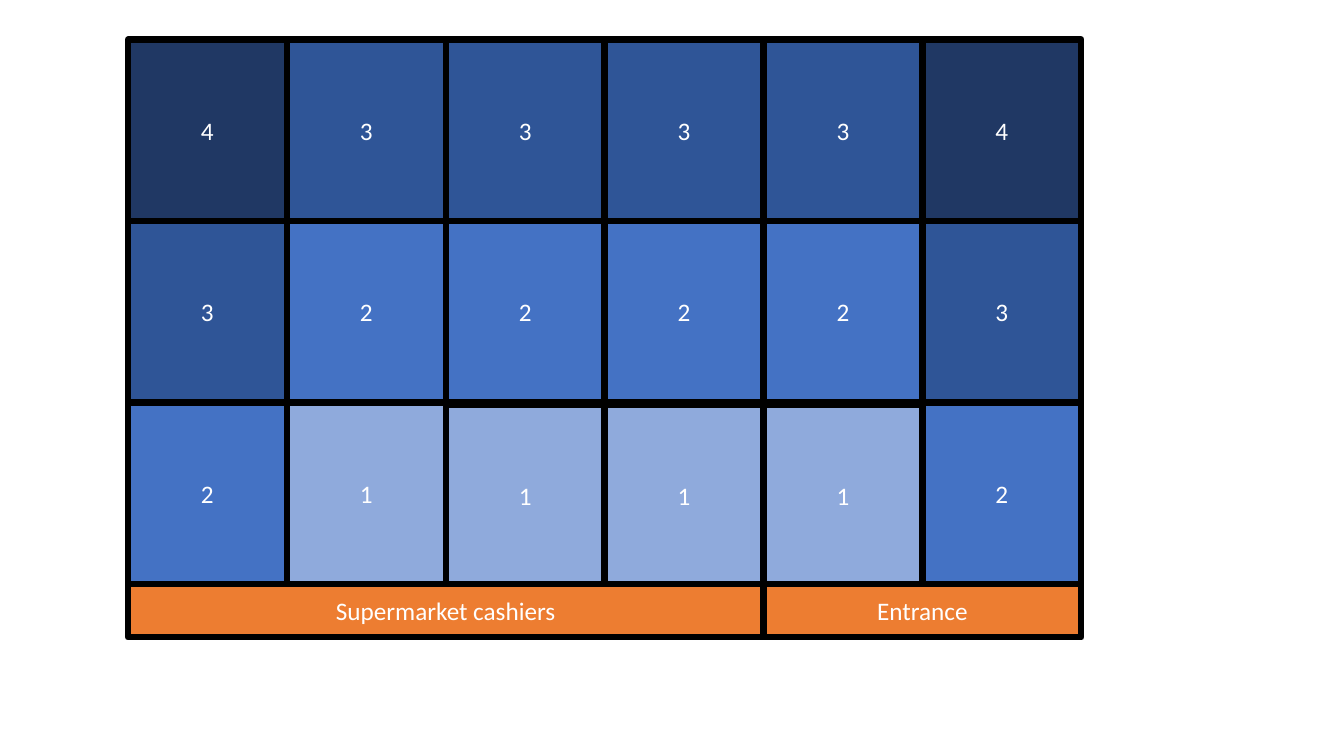
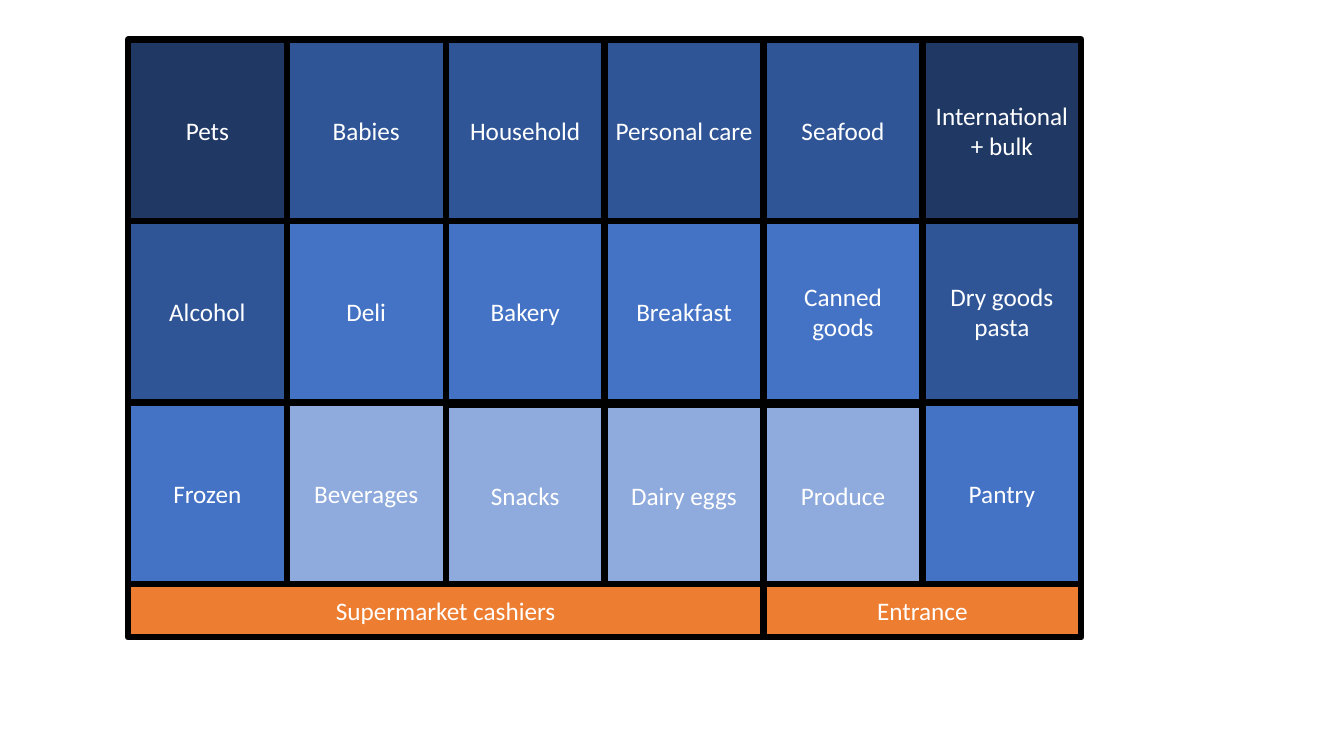
from pptx import Presentation
from pptx.dml.color import RGBColor
from pptx.enum.shapes import MSO_SHAPE
from pptx.enum.text import MSO_ANCHOR, PP_ALIGN
from pptx.util import Pt

RECTANGLE = MSO_SHAPE.RECTANGLE
MIDDLE = MSO_ANCHOR.MIDDLE
CENTER = PP_ALIGN.CENTER


def color(value):
    return RGBColor.from_string(value)


# Shared style
LEVEL_FILLS = {1: "8FAADC", 2: "4472C4", 3: "2F5597", 4: "203864"}
BAND_FILL = "ED7D31"
BORDER_COLOR = "000000"
BORDER_WIDTH = 4.5
TEXT_COLOR = "FFFFFF"
FONT = {"name": "Calibri", "size": Pt(18)}

# Floor grid, in points
LEFT, TOP = 91.4, 28.3
COLUMNS, ROWS = 6, 3
CELL_WIDTH, CELL_HEIGHT = 113.5, 129.6
BAND_HEIGHT = 38.2
CASHIER_COLUMNS = 4
LOWERED_COLUMNS = (2, 3, 4)
LOWERED_BY = 1.44

DEPARTMENTS = [
    ["Pets", "Babies", "Household", "Personal care", "Seafood", "International\n+ bulk"],
    ["Alcohol", "Deli", "Bakery", "Breakfast", "Canned goods", "Dry goods pasta"],
    ["Frozen", "Beverages", "Snacks", "Dairy eggs", "Produce", "Pantry"],
]

# Levels rise towards the back and by one more along the side walls
LEVELS = [
    [ROWS - row + (column in (0, COLUMNS - 1)) for column in range(COLUMNS)]
    for row in range(ROWS)
]


def add_block(slide, column, top, span, height, fill, text):
    shape = slide.shapes.add_shape(
        RECTANGLE, Pt(LEFT + column * CELL_WIDTH), Pt(top),
        Pt(span * CELL_WIDTH), Pt(height))
    shape.shadow.inherit = False
    shape.fill.solid()
    shape.fill.fore_color.rgb = color(fill)
    shape.line.color.rgb = color(BORDER_COLOR)
    shape.line.width = Pt(BORDER_WIDTH)
    frame = shape.text_frame
    frame.word_wrap = True
    frame.vertical_anchor = MIDDLE
    paragraph = frame.paragraphs[0]
    paragraph.text = text
    paragraph.alignment = CENTER
    for run in paragraph.runs:
        for attribute, value in FONT.items():
            setattr(run.font, attribute, value)
        run.font.color.rgb = color(TEXT_COLOR)


presentation = Presentation()
presentation.slide_width = Pt(960)
presentation.slide_height = Pt(540)
blank_layout = presentation.slide_layouts[6]

# One slide with levels, one with department names
for labels in (LEVELS, DEPARTMENTS):
    slide = presentation.slides.add_slide(blank_layout)

    # Departments
    for row in range(ROWS):
        for column in range(COLUMNS):
            top = TOP + row * CELL_HEIGHT
            if row == ROWS - 1 and column in LOWERED_COLUMNS:
                top += LOWERED_BY
            add_block(slide, column, top, 1, CELL_HEIGHT,
                      LEVEL_FILLS[LEVELS[row][column]], str(labels[row][column]))

    # Front of the store
    front = TOP + ROWS * CELL_HEIGHT
    for column, span, text in (
        (0, CASHIER_COLUMNS, "Supermarket cashiers"),
        (CASHIER_COLUMNS, COLUMNS - CASHIER_COLUMNS, "Entrance"),
    ):
        add_block(slide, column, front, span, BAND_HEIGHT, BAND_FILL, text)

presentation.save("out.pptx")
